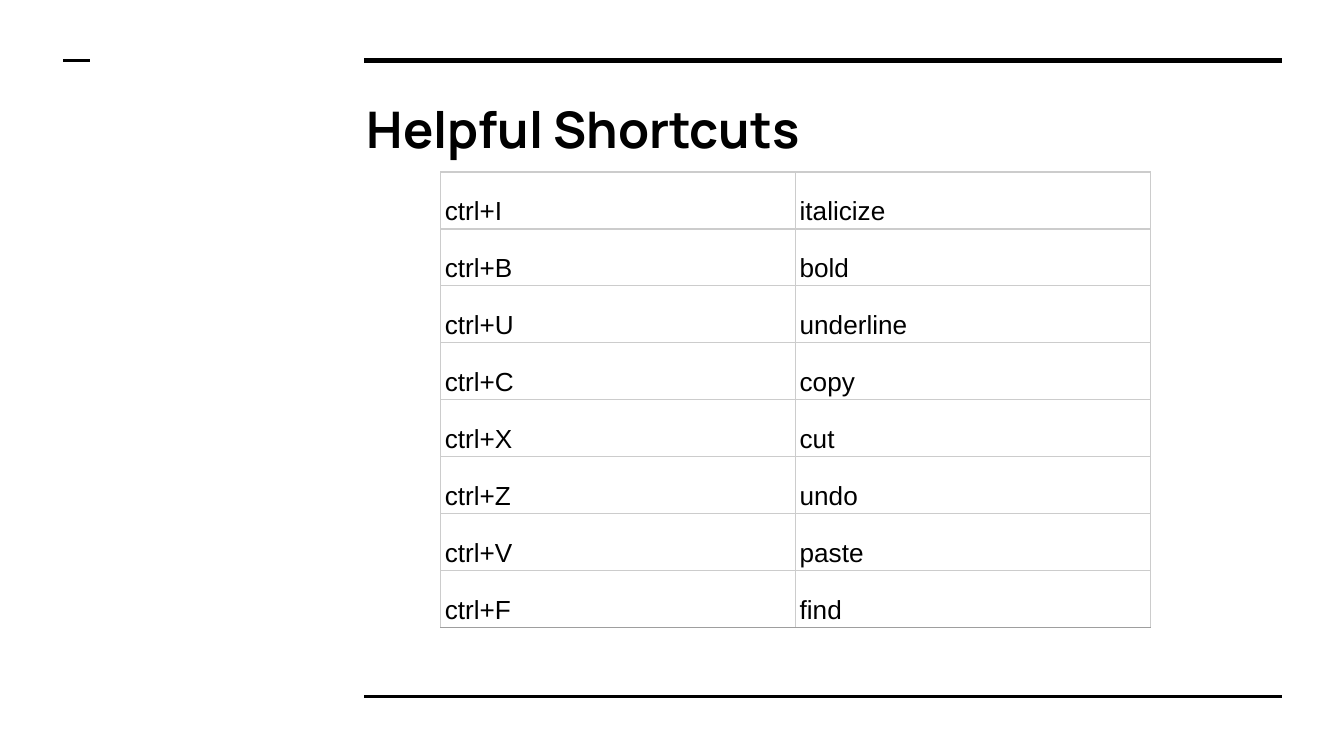
import pptx
import pptx.dml.color
import pptx.enum.shapes
import pptx.enum.text
import pptx.oxml.ns
import pptx.util
from lxml import etree
from pptx.util import Inches

COLORS = {"ink": "000000", "grid": "CCCCCC", "table_end": "9E9E9E"}
TITLE = "Helpful Shortcuts"
SHORTCUTS = [
    ("ctrl+I", "italicize"),
    ("ctrl+B", "bold"),
    ("ctrl+U", "underline"),
    ("ctrl+C", "copy"),
    ("ctrl+X", "cut"),
    ("ctrl+Z", "undo"),
    ("ctrl+V", "paste"),
    ("ctrl+F", "find"),
]
# left, right, y, points
RULES = [(2.71, 9.54, 0.45, 3), (2.71, 9.54, 5.18, 1.5), (0.47, 0.67, 0.45, 1.5)]
TABLE_LEFT, TABLE_TOP = 3.28, 1.28
COLUMN_WIDTH, TABLE_HEIGHT = 2.64, 3.39


def rgb(name):
    return pptx.dml.color.RGBColor.from_string(COLORS[name])


def set_font(para, name, size, bold=False):
    para.font.name = name
    para.font.size = pptx.util.Pt(size)
    para.font.bold = bold
    para.font.color.rgb = rgb("ink")


def add_rule(page, left, right, y, points):
    rule = page.shapes.add_connector(
        pptx.enum.shapes.MSO_CONNECTOR.STRAIGHT,
        Inches(left), Inches(y), Inches(right), Inches(y))
    rule.line.color.rgb = rgb("ink")
    rule.line.width = pptx.util.Pt(points)
    etree.SubElement(rule._element.spPr, pptx.oxml.ns.qn("a:effectLst"))


def add_title(page):
    box = page.shapes.add_textbox(Inches(2.63), Inches(0.63), Inches(6.91), Inches(0.69))
    frame = box.text_frame
    frame.word_wrap = True
    frame.margin_left = frame.margin_right = Inches(0.1)
    frame.margin_top = frame.margin_bottom = Inches(0.1)
    frame.text = TITLE
    set_font(frame.paragraphs[0], "Manrope", 27, bold=True)


def set_borders(cell, bottom):
    properties = cell._tc.get_or_add_tcPr()
    for side, color in (("L", "grid"), ("R", "grid"), ("T", "grid"), ("B", bottom)):
        line = etree.SubElement(properties, pptx.oxml.ns.qn("a:ln" + side),
                                w=str(pptx.util.Pt(0.75)))
        fill = etree.SubElement(line, pptx.oxml.ns.qn("a:solidFill"))
        etree.SubElement(fill, pptx.oxml.ns.qn("a:srgbClr"), val=COLORS[color])


def fill_cell(cell, text, bottom):
    cell.text = text
    cell.vertical_anchor = pptx.enum.text.MSO_ANCHOR.BOTTOM
    cell.margin_left = cell.margin_right = Inches(0.03)
    cell.margin_top = cell.margin_bottom = Inches(0.02)
    para = cell.text_frame.paragraphs[0]
    para.line_spacing = 1.15
    set_font(para, "Arial", 14)
    set_borders(cell, bottom)
    cell.fill.background()


def add_shortcut_table(page):
    rows, columns = len(SHORTCUTS), len(SHORTCUTS[0])
    table = page.shapes.add_table(
        rows, columns, Inches(TABLE_LEFT), Inches(TABLE_TOP),
        Inches(columns * COLUMN_WIDTH), Inches(TABLE_HEIGHT)).table
    table.first_row = table.horz_banding = False
    for column in table.columns:
        column.width = Inches(COLUMN_WIDTH)
    for r, shortcut in enumerate(SHORTCUTS):
        table.rows[r].height = Inches(TABLE_HEIGHT / rows)
        bottom = "table_end" if r == rows - 1 else "grid"
        for c, text in enumerate(shortcut):
            fill_cell(table.cell(r, c), text, bottom)


def main():
    deck = pptx.Presentation()
    deck.slide_width = Inches(10)
    deck.slide_height = Inches(10 * 9 / 16)
    page = deck.slides.add_slide(deck.slide_layouts[6])
    for rule in RULES:
        add_rule(page, *rule)
    add_title(page)
    add_shortcut_table(page)
    deck.save("out.pptx")


if __name__ == "__main__":
    main()
